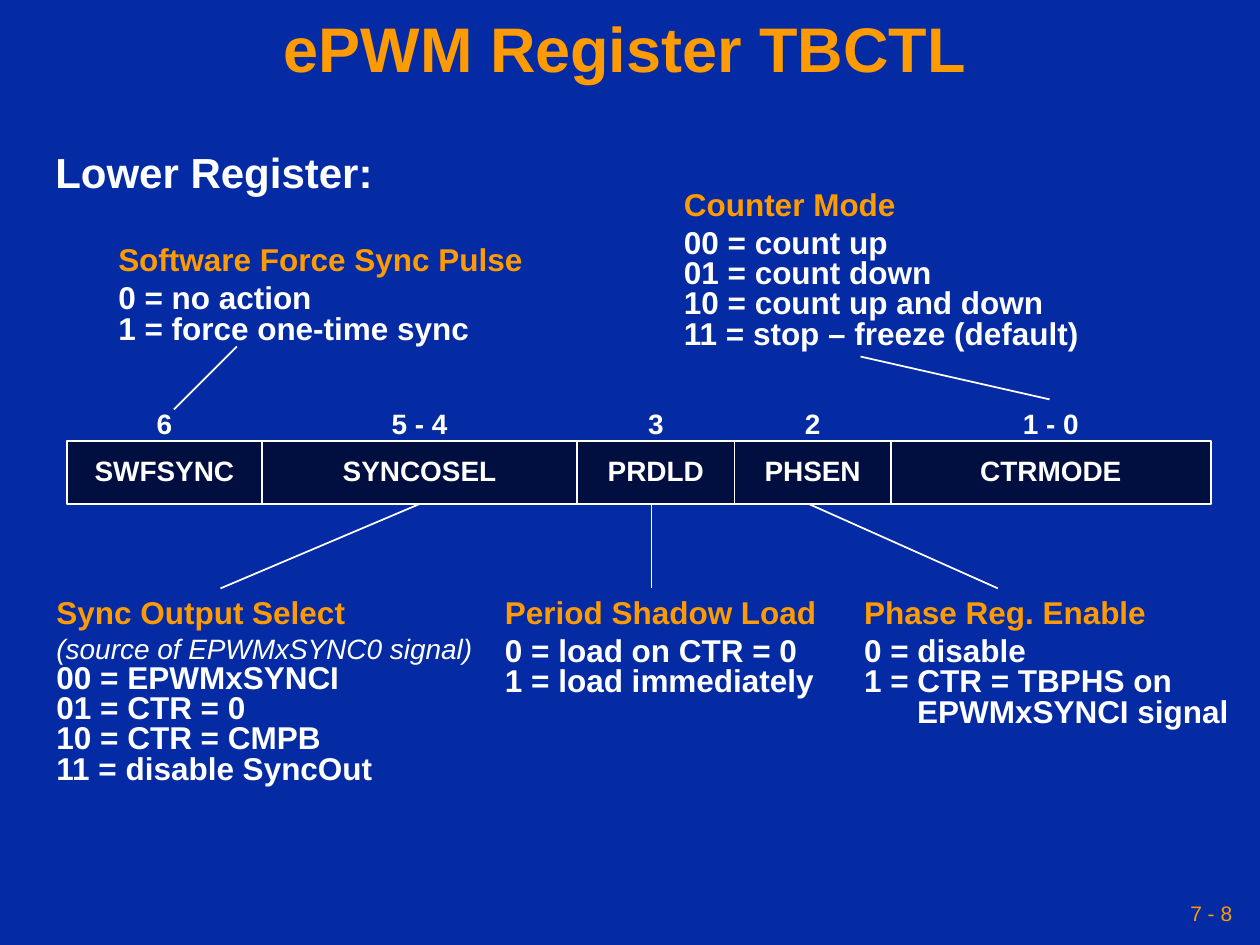
from dataclasses import dataclass
from itertools import pairwise

from lxml.etree import SubElement
from pptx import Presentation
from pptx.dml.color import RGBColor
from pptx.enum.shapes import MSO_CONNECTOR, MSO_SHAPE
from pptx.enum.text import MSO_ANCHOR, PP_ALIGN
from pptx.oxml.ns import qn
from pptx.util import Inches, Pt


@dataclass(frozen=True)
class Theme:
    font: str = "Arial"
    background: str = "042AA4"
    accent: str = "FE9B03"
    text: str = "FFFFFF"
    cell: str = "000F40"
    title: int = 36
    section: int = 24
    body: int = 18
    field: int = 16
    number: int = 12


T = Theme()
WIDTH, HEIGHT = 10, 7.5
TITLE = "ePWM Register TBCTL"
SECTION = "Lower Register:"
PAGE = "7 - 8"

# Register row: bits and name of each field, and the edges between fields
FIELDS = [("6", "SWFSYNC"), ("5 - 4", "SYNCOSEL"), ("3", "PRDLD"),
          ("2", "PHSEN"), ("1 - 0", "CTRMODE")]
EDGES = [0.53, 2.08, 4.58, 5.83, 7.07, 9.61]
ROW_TOP, ROW_BOTTOM = 3.5, 4.0
LEADER_END, LOWER_TOP = 4.67, 4.71

# left, top, width, heading, lines
CALLOUTS = [
    (0.84, 1.91, 3.41, "Software Force Sync Pulse",
     ["0 = no action", "1 = force one-time sync"]),
    (0.35, LOWER_TOP, 3.5, "Sync Output Select",
     ["(source of EPWMxSYNC0 signal)", "00 = EPWMxSYNCI", "01 = CTR = 0",
      "10 = CTR = CMPB", "11 = disable SyncOut"]),
    (5.33, 1.47, 3.34, "Counter Mode",
     ["00 = count up", "01 = count down", "10 = count up and down",
      "11 = stop – freeze (default)"]),
    (3.91, LOWER_TOP, 2.67, "Period Shadow Load",
     ["0 = load on CTR = 0", "1 = load immediately"]),
    (6.76, LOWER_TOP, 3.09, "Phase Reg. Enable",
     ["0 = disable", "1 = CTR = TBPHS on", "EPWMxSYNCI signal"]),
]
NOTES = {"(source of EPWMxSYNC0 signal)"}
CONTINUATIONS = {"EPWMxSYNCI signal"}
CONTINUATION_INDENT = 0.42

LEADERS = [
    (1.88, 2.75, 1.38, 3.25),
    (6.83, 2.83, 8.33, 3.17),
    (3.33, ROW_BOTTOM, 1.75, LEADER_END),
    (5.17, ROW_BOTTOM, 5.17, LEADER_END),
    (6.42, ROW_BOTTOM, 7.92, LEADER_END),
]


def rgb(value):
    return RGBColor.from_string(value)


def style(p, size, color, bold=True, italic=False, spacing=0.8):
    p.line_spacing = spacing
    for r in p.runs:
        f = r.font
        f.name, f.size, f.bold, f.italic = T.font, Pt(size), bold, italic
        f.color.rgb = rgb(color)


def add_box(s, left, top, width, height, anchor=MSO_ANCHOR.TOP, wrap=False, inset=0.1):
    tf = s.shapes.add_textbox(*map(Inches, (left, top, width, height))).text_frame
    tf.word_wrap = wrap
    tf.vertical_anchor = anchor
    tf.margin_left = tf.margin_right = Inches(inset)
    return tf


def add_label(s, text, place, size, color=T.text, align=PP_ALIGN.LEFT,
              bold=True, spacing=0.8, **box):
    p = add_box(s, *place, **box).paragraphs[0]
    p.text = text
    p.alignment = align
    style(p, size, color, bold, spacing=spacing)


def add_line(s, *ends):
    line = s.shapes.add_connector(MSO_CONNECTOR.STRAIGHT, *map(Inches, ends))
    line.line.color.rgb = rgb(T.text)
    line.line.width = Pt(1)
    SubElement(line._element.spPr, qn("a:effectLst"))


def add_register(s):
    row = s.shapes.add_shape(
        MSO_SHAPE.RECTANGLE,
        *map(Inches, (EDGES[0], ROW_TOP, EDGES[-1] - EDGES[0], ROW_BOTTOM - ROW_TOP)))
    row.shadow.inherit = False
    row.fill.solid()
    row.fill.fore_color.rgb = rgb(T.cell)
    row.line.color.rgb = rgb(T.text)
    row.line.width = Pt(1)
    for x in EDGES[1:-1]:
        add_line(s, x, ROW_TOP, x, ROW_BOTTOM)
    for (bits, name), (left, right) in zip(FIELDS, pairwise(EDGES)):
        for text, top in ((bits, ROW_TOP - 0.27), (name, ROW_TOP + 0.1)):
            add_label(s, text, (left, top, right - left, 0.32), T.field,
                      align=PP_ALIGN.CENTER, wrap=True)


def add_callout(s, left, top, width, heading, lines):
    sizes = [T.field if line in NOTES else T.body for line in lines]
    height = 0.41 + sum(sizes) * 0.24 / T.body
    tf = add_box(s, left, top, width, height, MSO_ANCHOR.MIDDLE)
    tf.text = "\n".join([heading, *lines])
    first, *rest = tf.paragraphs
    style(first, T.body, T.accent)
    first.space_after = Pt(4.5)
    for p, line, size in zip(rest, lines, sizes):
        note = line in NOTES
        style(p, size, T.text, bold=not note, italic=note)
        if line in CONTINUATIONS:
            p._p.get_or_add_pPr().set("marL", str(Inches(CONTINUATION_INDENT)))


def main():
    prs = Presentation()
    prs.slide_width, prs.slide_height = Inches(WIDTH), Inches(HEIGHT)
    s = prs.slides.add_slide(prs.slide_layouts[6])
    s.background.fill.solid()
    s.background.fill.fore_color.rgb = rgb(T.background)

    add_label(s, PAGE, (6.83, 7.08, 3, 0.33), T.number, T.accent, PP_ALIGN.RIGHT,
              bold=False, spacing=1.0, anchor=MSO_ANCHOR.MIDDLE, wrap=True, inset=0.05)
    add_label(s, TITLE, (0, 0, 9.92, 0.83), T.title, T.accent, PP_ALIGN.CENTER,
              spacing=0.9, anchor=MSO_ANCHOR.MIDDLE, wrap=True, inset=0.05)
    add_label(s, SECTION, (0.34, 1.19, 2.72, 0.42), T.section)
    add_register(s)
    for callout in CALLOUTS:
        add_callout(s, *callout)
    for leader in LEADERS:
        add_line(s, *leader)
    prs.save("out.pptx")


if __name__ == "__main__":
    main()
